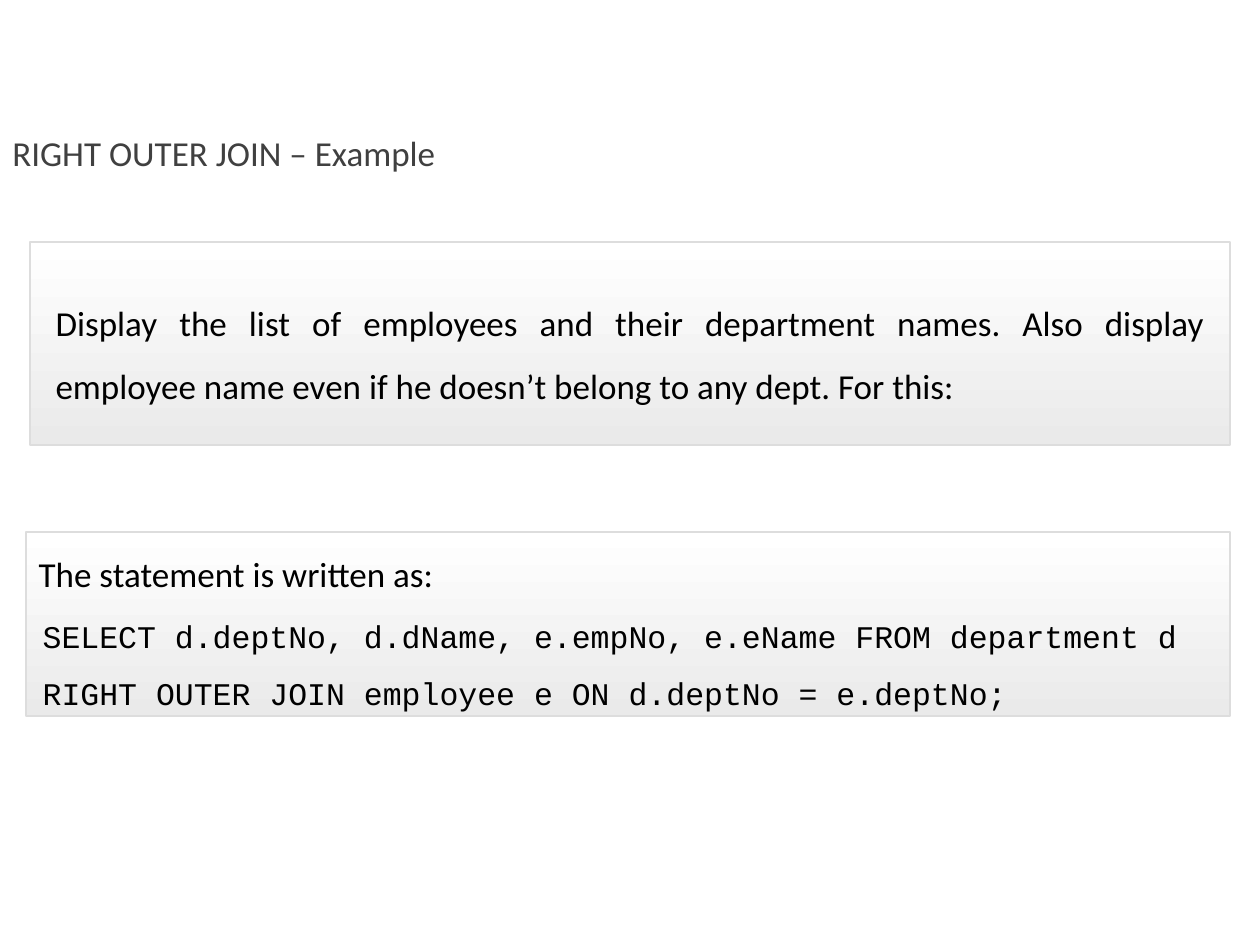
from pptx import Presentation
from pptx.dml.color import RGBColor
from pptx.enum.shapes import MSO_SHAPE as Shape
from pptx.enum.text import MSO_ANCHOR as Anchor, MSO_AUTO_SIZE as AutoSize, PP_ALIGN as Align
from pptx.util import Cm, Pt


def color(hex_code):
    return RGBColor.from_string(hex_code)


def write_text(frame, text, size=20, font="Calibri", ink="000000", align=Align.LEFT):
    """Fill a frame with one wrapped paragraph at 1.5 line spacing."""
    frame.word_wrap = True
    frame.text = text
    para = frame.paragraphs[0]
    para.alignment = align
    para.line_spacing = 1.5
    span = para.runs[0]
    span.font.size = Pt(size)
    span.font.name = font
    span.font.color.rgb = color(ink)
    return para


def add_label(page, left, top, width, height, text, **style):
    box = page.shapes.add_textbox(Cm(left), Cm(top), Cm(width), Cm(height))
    write_text(box.text_frame, text, **style)
    box.text_frame.auto_size = AutoSize.SHAPE_TO_FIT_TEXT


def add_panel(page, left, top, width, height, text, anchor, side_inset, **style):
    """Add a rectangle shaded from white down to grey, and return its paragraph."""
    panel = page.shapes.add_shape(Shape.RECTANGLE, Cm(left), Cm(top), Cm(width), Cm(height))
    panel.shadow.inherit = False
    panel.fill.gradient()
    panel.fill.gradient_angle = 270
    for stop, shade, position in zip(panel.fill.gradient_stops, ("FFFFFF", "EAEAEA"), (0, 1)):
        stop.color.rgb = color(shade)
        stop.position = position
    panel.line.color.rgb = color("DDDDDD")
    panel.line.width = Pt(1)
    frame = panel.text_frame
    frame.vertical_anchor = anchor
    frame.margin_left = frame.margin_right = Cm(side_inset)
    frame.margin_top = frame.margin_bottom = 0
    return write_text(frame, text, **style)


def main():
    deck = Presentation()
    deck.slide_width, deck.slide_height = Cm(25.4), Cm(19.05)
    page = deck.slides.add_slide(deck.slide_layouts[6])

    add_label(page, 0, 2.11, 18.01, 1.55, "RIGHT OUTER JOIN – Example", ink="404040")
    add_panel(page, 0.61, 4.88, 24.18, 4.09,
              "Display the list of employees and their department names. Also display "
              "employee name even if he doesn’t belong to any dept. For this:",
              Anchor.MIDDLE, 0.51, align=Align.JUSTIFY)
    statement = add_panel(page, 0.53, 10.72, 24.26, 3.71, "The statement is written as:",
                          Anchor.TOP, 0.25)
    statement.space_before = statement.space_after = Pt(6)
    add_label(page, 0.61, 11.94, 24.1, 2.46,
              "SELECT d.deptNo, d.dName, e.empNo, e.eName FROM department d "
              "RIGHT OUTER JOIN employee e ON d.deptNo = e.deptNo;",
              size=18, font="Courier New")

    deck.save("out.pptx")


if __name__ == "__main__":
    main()
